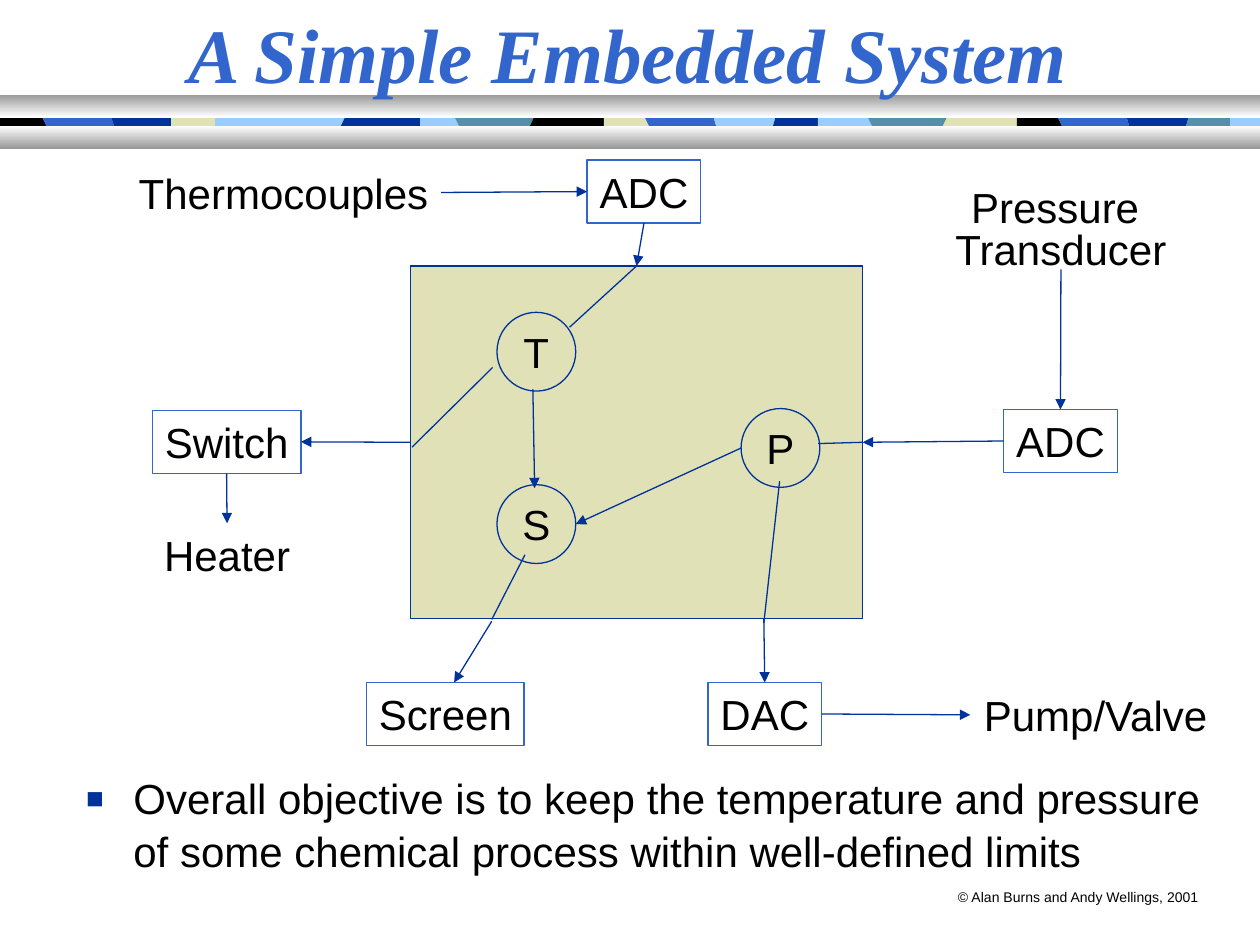
from lxml.etree import SubElement
from pptx import Presentation
from pptx.dml.color import RGBColor
from pptx.enum.shapes import MSO_CONNECTOR, MSO_SHAPE
from pptx.enum.text import MSO_ANCHOR, MSO_AUTO_SIZE, PP_ALIGN
from pptx.oxml.ns import qn
from pptx.util import Pt

COLORS = {
    "black": "000000", "white": "FFFFFF", "grey": "989898", "blue": "3366CC",
    "navy": "003399", "sky": "99CCFF", "teal": "5490A8", "sand": "E1E1B7",
}
TOP, LEFT, BOTTOM, RIGHT = range(4)

# Ribbon pieces: colour, middle of the right edge, lean of that edge
RIBBON = [
    ("black", 26.3, 5), ("blue", 65.1, 4), ("navy", 97.7, 0), ("sand", 123, 0),
    ("sky", 195.1, -5), ("navy", 240, 0), ("sky", 262, 5), ("teal", 303.1, -5),
    ("black", 345.1, 0), ("sand", 370.6, 5), ("blue", 409.1, 3),
    ("sky", 441.9, -3), ("navy", 467.4, 0), ("sky", 498, 5), ("teal", 539.1, -5),
    ("sand", 581.1, 0), ("black", 606.6, 5), ("blue", 645.1, 3),
    ("navy", 678, -3), ("teal", 702.9, 0), ("sky", 720, 0),
]


def rgb(name):
    return RGBColor.from_string(COLORS[name])


def place(shape, left, top, width, height):
    shape.left, shape.top = Pt(left), Pt(top)
    shape.width, shape.height = Pt(width), Pt(height)


def write(shape, text, size=24, font="Arial", color="black", bold=False, italic=False,
          align=PP_ALIGN.CENTER, anchor=MSO_ANCHOR.MIDDLE, wrap=False,
          spacing=None, next_spacing=None):
    frame = shape.text_frame
    frame.text = text
    frame.word_wrap = wrap
    frame.auto_size = MSO_AUTO_SIZE.NONE
    frame.vertical_anchor = anchor
    for index, paragraph in enumerate(frame.paragraphs):
        paragraph.alignment = align
        paragraph.space_before = Pt(0)
        paragraph.line_spacing = next_spacing if index else spacing
        for run in paragraph.runs:
            run.font.size, run.font.name = Pt(size), font
            run.font.bold, run.font.italic = bold, italic
            run.font.color.rgb = rgb(color)


def add_label(slide, text, left, top, width, height=36, **style):
    label = slide.shapes.add_textbox(Pt(left), Pt(top), Pt(width), Pt(height))
    write(label, text, **style)
    return label


def add_node(slide, text, left, top, width, height=36, kind=MSO_SHAPE.RECTANGLE,
             fill=None, line="blue"):
    node = slide.shapes.add_shape(kind, Pt(left), Pt(top), Pt(width), Pt(height))
    node.shadow.inherit = False
    if fill:
        node.fill.solid()
        node.fill.fore_color.rgb = rgb(fill)
    else:
        node.fill.background()
    node.line.color.rgb = rgb(line)
    node.line.width = Pt(0.75)
    if text:
        write(node, text)
    return node


def add_task(slide, text, left, top):
    task = add_node(slide, text, left, top, 45, 45, kind=MSO_SHAPE.OVAL, line="navy")
    frame = task.text_frame
    frame.margin_left = frame.margin_right = frame.margin_top = frame.margin_bottom = 0


def add_link(slide, start, end, arrow=True):
    """Each end is an (x, y) point or a (shape, connection site) pair."""
    link = slide.shapes.add_connector(MSO_CONNECTOR.STRAIGHT, 0, 0, 0, 0)
    if isinstance(start[0], (int, float)):
        link.begin_x, link.begin_y = Pt(start[0]), Pt(start[1])
    else:
        link.begin_connect(*start)
    if isinstance(end[0], (int, float)):
        link.end_x, link.end_y = Pt(end[0]), Pt(end[1])
    else:
        link.end_connect(*end)
    link.line.color.rgb = rgb("navy")
    link.line.width = Pt(0.75)
    if arrow:
        SubElement(link.line._get_or_add_ln(), qn("a:tailEnd"), type="triangle")
    SubElement(link._element.spPr, qn("a:effectLst"))


def add_ribbon(slide, top=61.2, bottom=81.6):
    left, left_lean = 0, 0
    for color, right, lean in RIBBON:
        outline = slide.shapes.build_freeform(Pt(left - left_lean), Pt(top))
        outline.add_line_segments([
            (Pt(right - lean), Pt(top)), (Pt(right + lean), Pt(bottom)),
            (Pt(left + left_lean), Pt(bottom))])
        piece = outline.convert_to_shape()
        piece.shadow.inherit = False
        piece.fill.solid()
        piece.fill.fore_color.rgb = rgb(color)
        piece.line.fill.background()
        left, left_lean = right, lean


def add_bar(slide, top, colors):
    bar = slide.shapes.add_shape(MSO_SHAPE.RECTANGLE, 0, Pt(top), Pt(720), Pt(13))
    bar.shadow.inherit = False
    bar.line.fill.background()
    bar.fill.gradient()
    bar.fill.gradient_angle = 270
    for stop, color in zip(bar.fill.gradient_stops, colors):
        stop.color.rgb = rgb(color)


def add_bullet(paragraph):
    properties = paragraph._p.get_or_add_pPr()
    properties.set("marL", str(Pt(27)))
    properties.set("indent", str(-Pt(27)))
    bullet_color = SubElement(properties, qn("a:buClr"))
    SubElement(bullet_color, qn("a:srgbClr"), val=COLORS["navy"])
    SubElement(properties, qn("a:buSzPct"), val="70000")
    SubElement(properties, qn("a:buFont"), typeface="Arial")
    SubElement(properties, qn("a:buChar"), char="■")


def add_diagram(slide):
    # Computer and its tasks
    computer = add_node(slide, "", 234.5, 152, 258.5, 201.5, fill="sand", line="navy")
    add_task(slide, "T", 284, 178.5)
    add_task(slide, "S", 284, 277)
    add_task(slide, "P", 423.5, 233.5)

    # Devices around the computer
    switch = add_node(slide, "Switch", 87, 234.5, 85)
    temperature_adc = add_node(slide, "ADC", 335.5, 91.5, 65)
    pressure_adc = add_node(slide, "ADC", 573.5, 234, 65)
    dac = add_node(slide, "DAC", 404.5, 390, 65)
    add_node(slide, "Screen", 209.5, 390, 90)

    # Equipment
    heater = add_label(slide, "Heater", 86.5, 299, 86.5)
    thermocouples = add_label(slide, "Thermocouples", 72, 92, 180)
    transducer = add_label(slide, "Pressure \nTransducer", 538.5, 100, 135.5, 54,
                           anchor=MSO_ANCHOR.TOP, next_spacing=Pt(24))
    pump = add_label(slide, "Pump/Valve", 554.5, 390.5, 143)

    # Flow between devices
    add_link(slide, (computer, LEFT), (switch, RIGHT))
    add_link(slide, (pressure_adc, LEFT), (computer, RIGHT))
    add_link(slide, (thermocouples, RIGHT), (temperature_adc, LEFT))
    add_link(slide, (transducer, BOTTOM), (pressure_adc, TOP))
    add_link(slide, (dac, RIGHT), (pump, LEFT))
    add_link(slide, (436.5, 353.5), (dac, TOP))
    add_link(slide, (temperature_adc, BOTTOM), (computer, TOP))
    add_link(slide, (switch, BOTTOM), (heater, TOP))
    add_link(slide, (281, 355), (259.5, 390))

    # Flow inside the computer
    add_link(slide, (304.5, 222.5), (305.5, 279))
    add_link(slide, (423.5, 256), (329, 299.5))
    add_link(slide, (computer, TOP), (325.5, 187), arrow=False)
    add_link(slide, (281.5, 210), (235.5, 255.5), arrow=False)
    add_link(slide, (computer, RIGHT), (467.5, 253.5), arrow=False)
    add_link(slide, (281, 354), (300, 317), arrow=False)
    add_link(slide, (436.5, 356), (445.5, 275), arrow=False)


def main():
    presentation = Presentation()
    presentation.slide_width, presentation.slide_height = Pt(720), Pt(540)
    slide = presentation.slides.add_slide(presentation.slide_layouts[1])

    # Decorative band
    add_ribbon(slide)
    add_bar(slide, 54, ("grey", "white"))
    add_bar(slide, 72, ("white", "grey"))

    add_diagram(slide)

    # Title and objective, in front of the band
    title, objective = slide.shapes.title, slide.placeholders[1]
    for placeholder in (title, objective):
        slide.shapes._spTree.append(placeholder._element)
    place(title, 0, 0, 718, 60)
    write(title, "A Simple Embedded System", size=44, font="Times New Roman",
          color="blue", bold=True, italic=True, wrap=True)
    place(objective, 42, 436.5, 659, 89)
    write(objective, "Overall objective is to keep the temperature and pressure "
          "of some chemical process within well-defined limits",
          align=PP_ALIGN.LEFT, anchor=MSO_ANCHOR.TOP, wrap=True, spacing=1.05)
    add_bullet(objective.text_frame.paragraphs[0])

    # Copyright line
    add_label(slide, "© Alan Burns and Andy Wellings, 2001", 540, 504, 152.5, 17.5, size=8)
    presentation.save("out.pptx")


if __name__ == "__main__":
    main()
